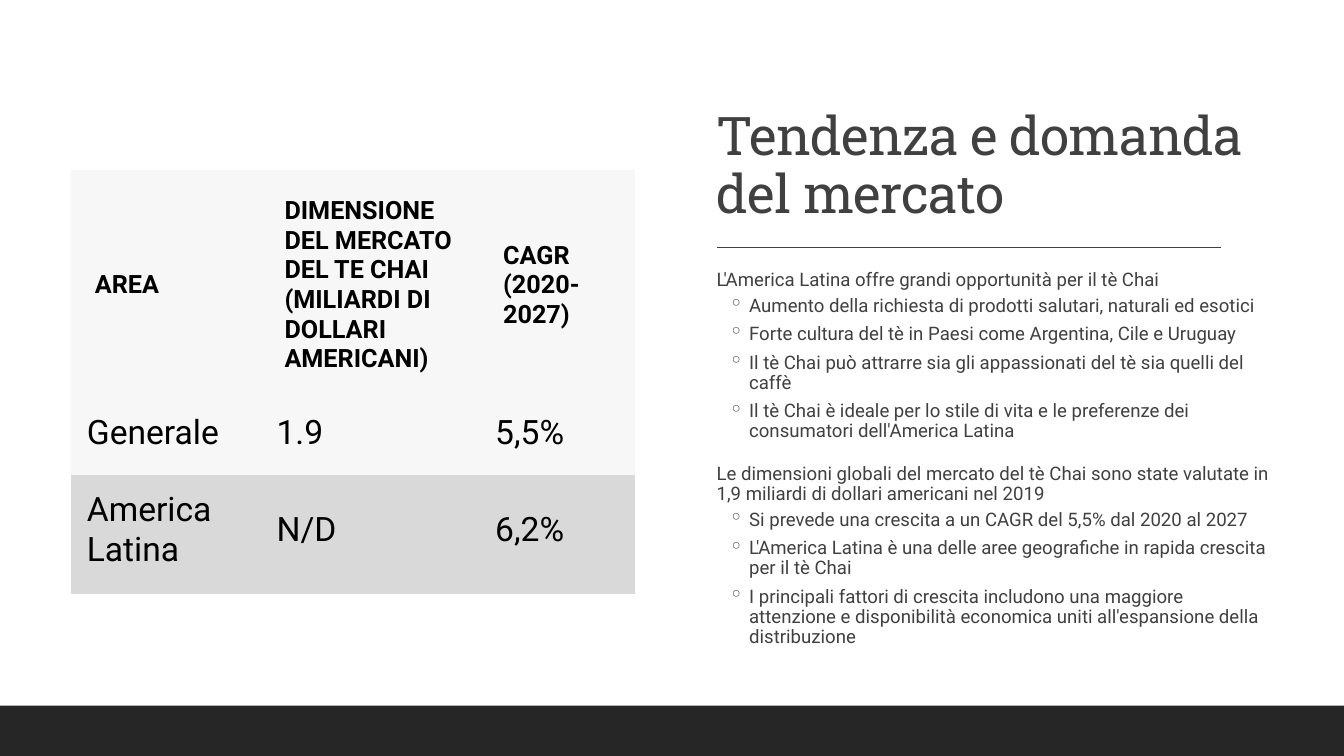
from dataclasses import dataclass

from lxml import etree
from pptx import Presentation
from pptx import util as u
from pptx.dml import color
from pptx.enum import shapes, text
from pptx.oxml import ns


@dataclass(frozen=True)
class Theme:
    heading_font: str = "Roboto Slab"
    body_font: str = "Roboto"
    white: str = "FFFFFF"
    black: str = "000000"
    ink: str = "404040"
    footer: str = "262626"
    pale: str = "F7F7F7"
    grey: str = "D9D9D9"
    title_size: float = 38
    body_size: float = 13.3
    header_size: float = 18
    cell_size: float = 24


@dataclass(frozen=True)
class Box:
    left: float
    top: float
    width: float
    height: float

    def lengths(self) -> tuple:
        return tuple(u.Cm(n) for n in (self.left, self.top, self.width, self.height))


@dataclass(frozen=True)
class Band:
    box: Box
    fill: str


@dataclass(frozen=True)
class Insets:
    left: float
    top: float
    right: float
    bottom: float


@dataclass(frozen=True)
class Level:
    margin: float
    indent: float
    before: float
    after: float
    bullet: str = ""


@dataclass(frozen=True)
class Topic:
    heading: str
    points: tuple[str, ...]


@dataclass(frozen=True)
class Row:
    height: float
    cells: tuple[str, ...]
    fill: str
    size: float
    insets: Insets
    bold: bool = False


THEME = Theme()
WIDTH, HEIGHT = 33.87, 19.05
FOOTER_HEIGHT = 1.27
BANDS = (
    Band(Box(0, 0, WIDTH, HEIGHT), THEME.white),
    Band(Box(0, HEIGHT - FOOTER_HEIGHT, WIDTH, FOOTER_HEIGHT), THEME.footer),
)
TITLE = "Tendenza e domanda del mercato"
TITLE_BOX = Box(17.81, 1.75, 14.25, 4.04)
BODY_BOX = Box(17.81, 6.68, 14.25, 10.13)
RULE_LEFT, RULE_RIGHT, RULE_TOP = 18.08, 30.78, 6.24
LINE_SPACING = 0.9

HEADING = Level(0.25, 0, 12, 2)
POINT = Level(1.07, -0.51, 2, 4, "◦")
TOPICS = (
    Topic("L'America Latina offre grandi opportunità per il tè Chai", (
        "Aumento della richiesta di prodotti salutari, naturali ed esotici",
        "Forte cultura del tè in Paesi come Argentina, Cile e Uruguay",
        "Il tè Chai può attrarre sia gli appassionati del tè sia quelli del caffè",
        "Il tè Chai è ideale per lo stile di vita e le preferenze dei consumatori dell'America Latina",
    )),
    Topic("Le dimensioni globali del mercato del tè Chai sono state valutate in 1,9 miliardi di dollari americani nel 2019", (
        "Si prevede una crescita a un CAGR del 5,5% dal 2020 al 2027",
        "L'America Latina è una delle aree geografiche in rapida crescita per il tè Chai",
        "I principali fattori di crescita includono una maggiore attenzione e disponibilità economica uniti all'espansione della distribuzione",
    )),
)

TABLE_LEFT, TABLE_TOP = 1.78, 4.29
COLUMN_WIDTHS = (4.78, 5.51, 3.94)
HEADER_INSETS = Insets(0.61, 0.61, 0.61, 0.61)
CELL_INSETS = Insets(0.41, 0.2, 0.41, 0.41)
ROWS = (
    Row(5.69, ("AREA", "DIMENSIONE DEL MERCATO DEL TE CHAI (MILIARDI DI DOLLARI AMERICANI)",
               "CAGR (2020-2027)"), THEME.pale, THEME.header_size, HEADER_INSETS, True),
    Row(1.88, ("Generale", "1.9", "5,5%"), THEME.pale, THEME.cell_size, CELL_INSETS),
    Row(3, ("America Latina", "N/D", "6,2%"), THEME.grey, THEME.cell_size, CELL_INSETS),
)
PLAIN_TABLE_STYLE = "{2D5ABB26-0587-4C30-8999-92F81FD0307C}"


def rgb(value: str) -> color.RGBColor:
    return color.RGBColor.from_string(value)


def add_run(paragraph, content: str, font: str, size: float, ink: str, bold: bool = False):
    run = paragraph.add_run()
    run.text = content
    run.font.name = font
    run.font.size = u.Pt(size)
    run.font.bold = bold
    run.font.color.rgb = rgb(ink)
    return run


def set_insets(target, insets: Insets) -> None:
    target.margin_left = u.Cm(insets.left)
    target.margin_top = u.Cm(insets.top)
    target.margin_right = u.Cm(insets.right)
    target.margin_bottom = u.Cm(insets.bottom)


def add_frame(slide, box: Box, insets: Insets, anchor):
    frame = slide.shapes.add_textbox(*box.lengths()).text_frame
    frame.word_wrap = True
    frame.vertical_anchor = anchor
    set_insets(frame, insets)
    return frame


def draw_band(slide, band: Band) -> None:
    shape = slide.shapes.add_shape(shapes.MSO_SHAPE.RECTANGLE, *band.box.lengths())
    shape.shadow.inherit = False
    shape.fill.solid()
    shape.fill.fore_color.rgb = rgb(band.fill)
    shape.line.fill.background()


def draw_title(slide) -> None:
    frame = add_frame(slide, TITLE_BOX, Insets(0.25, 0.13, 0.25, 0.13), text.MSO_ANCHOR.BOTTOM)
    paragraph = frame.paragraphs[0]
    paragraph.line_spacing = LINE_SPACING
    run = add_run(paragraph, TITLE, THEME.heading_font, THEME.title_size, THEME.ink)
    run.font._element.set("spc", "-50")


def draw_rule(slide) -> None:
    rule = slide.shapes.add_connector(
        shapes.MSO_CONNECTOR.STRAIGHT,
        u.Cm(RULE_LEFT), u.Cm(RULE_TOP), u.Cm(RULE_RIGHT), u.Cm(RULE_TOP))
    rule.line.color.rgb = rgb(THEME.ink)
    rule.line.width = u.Pt(1)
    etree.SubElement(rule._element.spPr, ns.qn("a:effectLst"))


def write_line(paragraph, content: str, level: Level) -> None:
    paragraph.line_spacing = LINE_SPACING
    paragraph.space_before = u.Pt(level.before)
    paragraph.space_after = u.Pt(level.after)
    properties = paragraph._p.get_or_add_pPr()
    properties.set("marL", str(u.Cm(level.margin)))
    properties.set("indent", str(u.Cm(level.indent)))
    if level.bullet:
        etree.SubElement(properties, ns.qn("a:buChar")).set("char", level.bullet)
    add_run(paragraph, content, THEME.body_font, THEME.body_size, THEME.ink)


def draw_body(slide) -> None:
    frame = add_frame(slide, BODY_BOX, Insets(0, 0.13, 0, 0.13), text.MSO_ANCHOR.TOP)
    lines = [line for topic in TOPICS
             for line in ((topic.heading, HEADING), *((point, POINT) for point in topic.points))]
    for index, (content, level) in enumerate(lines):
        paragraph = frame.add_paragraph() if index else frame.paragraphs[0]
        write_line(paragraph, content, level)


def draw_table(slide) -> None:
    box = Box(TABLE_LEFT, TABLE_TOP, sum(COLUMN_WIDTHS), sum(row.height for row in ROWS))
    table = slide.shapes.add_table(len(ROWS), len(COLUMN_WIDTHS), *box.lengths()).table
    table.first_row = table.horz_banding = False
    table._tbl.tblPr.find(ns.qn("a:tableStyleId")).text = PLAIN_TABLE_STYLE
    for column, width in zip(table.columns, COLUMN_WIDTHS):
        column.width = u.Cm(width)
    for table_row, row in zip(table.rows, ROWS):
        table_row.height = u.Cm(row.height)
        for cell, content in zip(table_row.cells, row.cells):
            cell.fill.solid()
            cell.fill.fore_color.rgb = rgb(row.fill)
            cell.vertical_anchor = text.MSO_ANCHOR.MIDDLE
            set_insets(cell, row.insets)
            add_run(cell.text_frame.paragraphs[0], content, THEME.body_font,
                    row.size, THEME.black, row.bold)


def main() -> None:
    presentation = Presentation()
    presentation.slide_width, presentation.slide_height = u.Cm(WIDTH), u.Cm(HEIGHT)
    slide = presentation.slides.add_slide(presentation.slide_layouts[6])
    for band in BANDS:
        draw_band(slide, band)
    draw_title(slide)
    draw_rule(slide)
    draw_body(slide)
    draw_table(slide)
    presentation.save("out.pptx")


if __name__ == "__main__":
    main()
